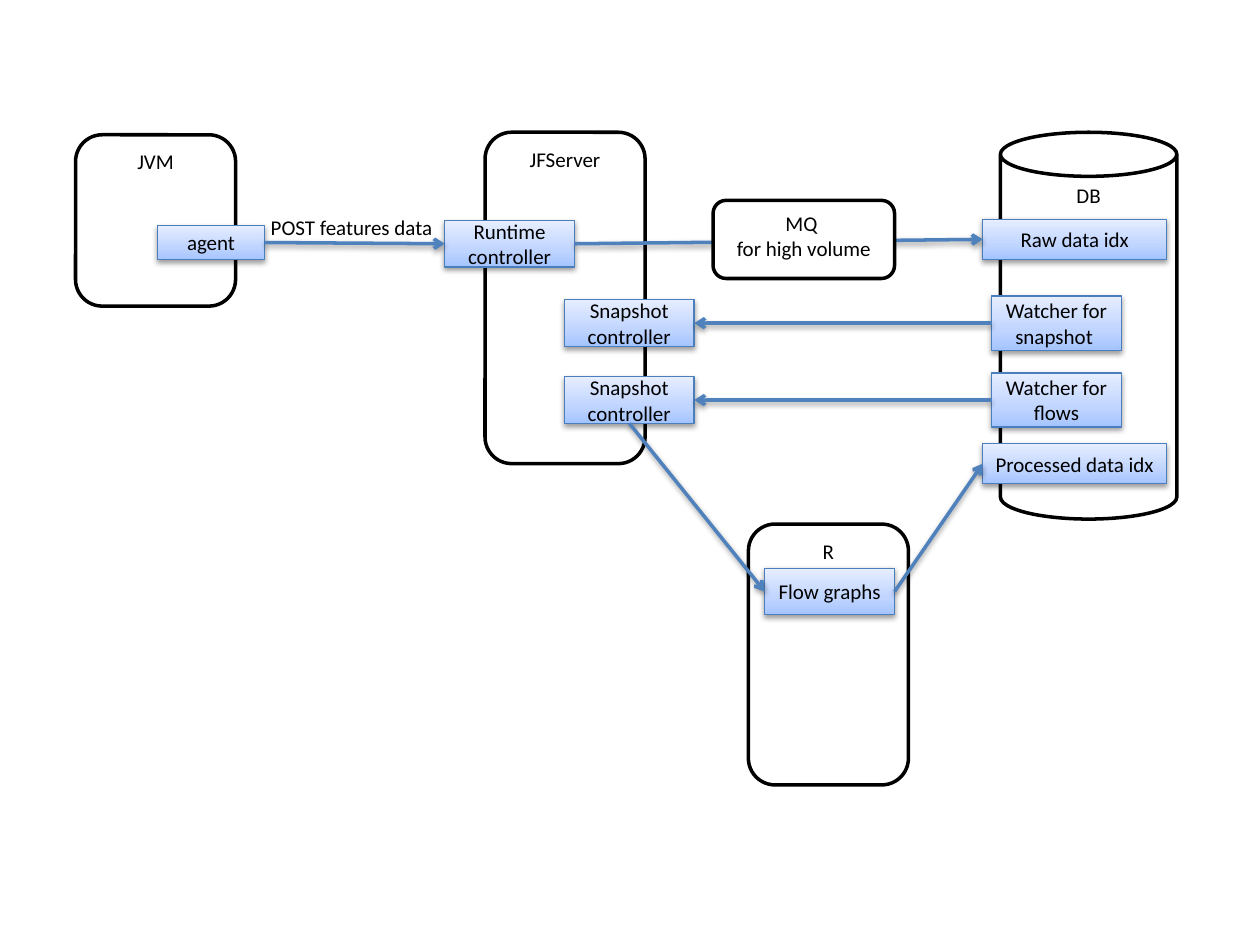
from pptx import Presentation
from pptx.util import Inches, Pt
from pptx.dml.color import RGBColor
from pptx.enum.shapes import MSO_SHAPE, MSO_CONNECTOR
from pptx.enum.text import PP_ALIGN, MSO_ANCHOR
from pptx.oxml import parse_xml
from pptx.oxml.ns import nsdecls, qn
from lxml.etree import SubElement

COL = ROW = Inches(0.1)
TOP, LEFT, BOTTOM, RIGHT = range(4)
STOPS = [(0, "A4C4FF"), (35, "BFD4FF"), (100, "E6EEFF")]


def paint(code):
    return RGBColor.from_string(code)


def span(box):
    x, y, w, h = box
    return round(x * COL), round(y * ROW), round(w * COL), round(h * ROW)


def write(shape, text, anchor, align=PP_ALIGN.CENTER, wrap=True):
    frame = shape.text_frame
    frame.word_wrap = wrap
    frame.vertical_anchor = anchor
    for i, line in enumerate(text.split("\n")):
        para = frame.add_paragraph() if i else frame.paragraphs[0]
        para.alignment = align
        run = para.add_run()
        run.text = line
        run.font.size = Pt(12)
        run.font.name = "Calibri"
        run.font.color.rgb = paint("000000")


def shade(props):
    for old in props.findall(qn("a:effectLst")):
        props.remove(old)
    props.append(parse_xml(
        f'<a:effectLst {nsdecls("a")}>'
        '<a:outerShdw blurRad="40000" dist="20000" dir="5400000" rotWithShape="0">'
        '<a:srgbClr val="000000"><a:alpha val="38000"/></a:srgbClr>'
        '</a:outerShdw></a:effectLst>'))


def blend(shape):
    shape.fill.gradient()
    shape.fill.gradient_angle = 90
    stops = shape.element.spPr.find(qn("a:gradFill")).find(qn("a:gsLst"))
    for old in list(stops):
        stops.remove(old)
    for pos, code in STOPS:
        stop = SubElement(stops, qn("a:gs"), pos=str(pos * 1000))
        SubElement(stop, qn("a:srgbClr"), val=code)


def chip(slide, box, text):
    shape = slide.shapes.add_shape(MSO_SHAPE.RECTANGLE, *span(box))
    blend(shape)
    shape.line.color.rgb = paint("4B7EBC")
    shape.line.width = Pt(0.75)
    shade(shape.element.spPr)
    write(shape, text, MSO_ANCHOR.MIDDLE)
    return shape


def node(slide, box, title, parts=(), kind=MSO_SHAPE.ROUNDED_RECTANGLE):
    shape = slide.shapes.add_shape(kind, *span(box))
    shape.shadow.inherit = False
    shape.fill.solid()
    shape.fill.fore_color.rgb = paint("FFFFFF")
    shape.line.color.rgb = paint("000000")
    shape.line.width = Pt(2)
    write(shape, title, MSO_ANCHOR.TOP)
    x, y = box[:2]
    return [chip(slide, (x + dx, y + dy, w, h), text)
            for dx, dy, w, h, text in parts]


def link(slide, start, out, end, into):
    line = slide.shapes.add_connector(MSO_CONNECTOR.STRAIGHT, 0, 0, 0, 0)
    line.begin_connect(start, out)
    line.end_connect(end, into)
    line.line.color.rgb = paint("4F81BD")
    line.line.width = Pt(2)
    props = line.element.spPr
    SubElement(props.find(qn("a:ln")), qn("a:tailEnd"), type="arrow")
    shade(props)


def label(slide, box, text):
    shape = slide.shapes.add_textbox(*span(box))
    write(shape, text, MSO_ANCHOR.TOP, PP_ALIGN.LEFT, False)


def flow(slide):
    agent, = node(slide, (6, 10.7, 12.7, 13.6), "JVM",
                  [(6.5, 7.2, 8.5, 2.7, "agent")])
    run, snap, graph = node(slide, (38.5, 10.5, 12.7, 26.3), "JFServer", [
        (-3.2, 7, 10.3, 3.7, "Runtime controller"),
        (6.3, 13.3, 10.3, 3.7, "Snapshot controller"),
        (6.3, 19.4, 10.3, 3.7, "Snapshot controller")])
    raw, watch, flows, done = node(slide, (79.4, 10.5, 14, 30.7), "DB", [
        (-1.4, 6.9, 14.6, 3.2, "Raw data idx"),
        (-0.7, 13, 10.3, 4.3, "Watcher for snapshot "),
        (-0.7, 19.1, 10.3, 4.3, "Watcher for flows"),
        (-1.4, 24.7, 14.6, 3.2, "Processed data idx")], MSO_SHAPE.CAN)
    plot, = node(slide, (59.4, 41.6, 12.7, 20.7), "R",
                 [(1.3, 3.5, 10.3, 3.7, "Flow graphs")])
    for ends in [(agent, RIGHT, run, LEFT), (run, RIGHT, raw, LEFT),
                 (watch, LEFT, snap, RIGHT), (flows, LEFT, graph, RIGHT),
                 (graph, BOTTOM, plot, LEFT), (plot, RIGHT, done, LEFT)]:
        link(slide, *ends)
    node(slide, (56.6, 15.9, 14.4, 6.2), "MQ \nfor high volume")
    label(slide, (20.5, 16.5, 15.2, 3), "POST features data")


deck = Presentation()
deck.slide_width, deck.slide_height = 100 * COL, 75 * ROW
flow(deck.slides.add_slide(deck.slide_layouts[6]))
deck.save("out.pptx")
